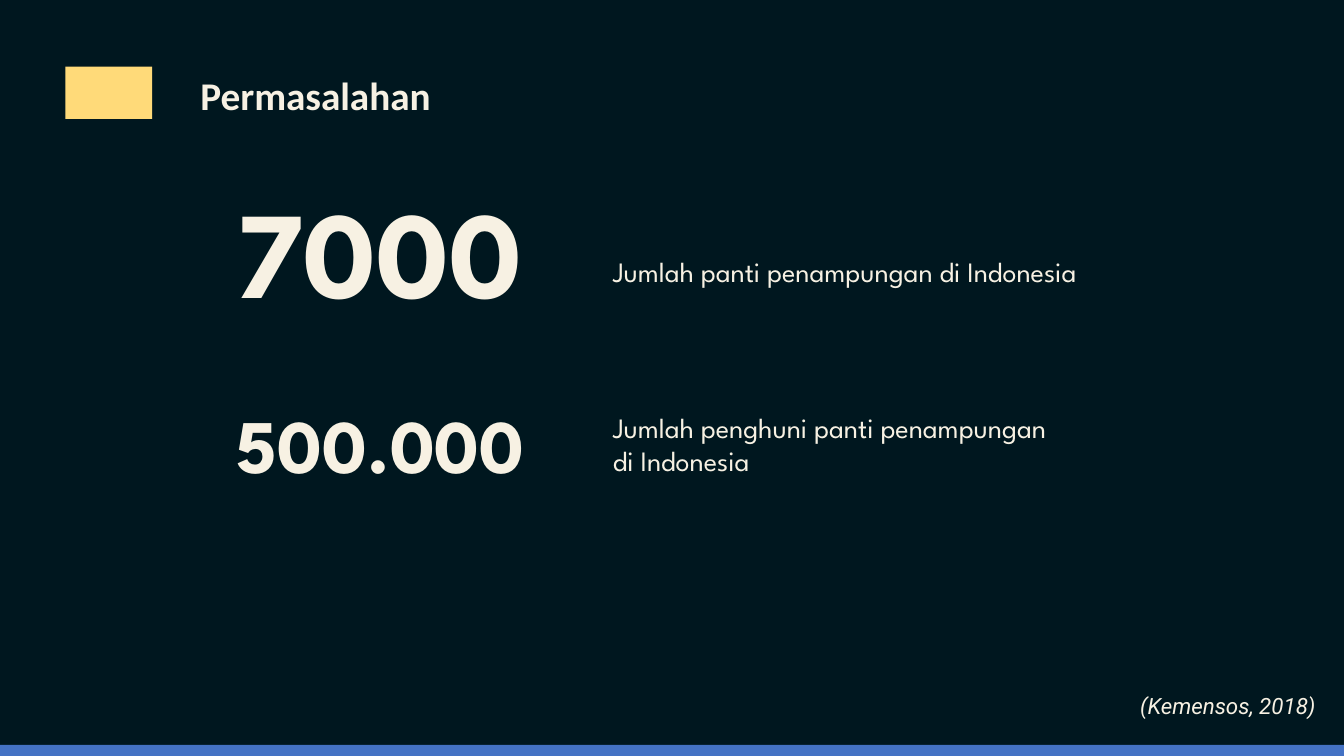
"""Build the "Permasalahan" slide with two key figures on shelters in Indonesia."""
from pptx import Presentation
from pptx.dml.color import RGBColor
from pptx.enum.shapes import MSO_SHAPE
from pptx.util import Inches, Pt

NAVY, BLUE, YELLOW, CREAM = "00171F", "4472C4", "FFDA79", "F7F1E3"
HEADING, BODY, CITATION = "Calibri", "League Spartan", "Roboto"
FIGURE_X, CAPTION_X = 2.25, 5.98

BARS = [
    ((-0.06, 7.39, 13.45, 0.12), BLUE),
    ((0.65, 0.66, 0.86, 0.52), YELLOW),
]
TEXTS = [
    (["Permasalahan"], (1.89, 0.66, 2.74, 0.57), HEADING, 28, "bold"),
    (["Jumlah panti penampungan di Indonesia"],
     (CAPTION_X, 2.48, 5.23, 0.44), BODY, 20, None),
    (["Jumlah penghuni panti penampungan", "di Indonesia"],
     (CAPTION_X, 4.02, 4.86, 0.77), BODY, 20, None),
    (["7000"], (FIGURE_X, 1.69, 3.16, 1.58), BODY, 88, "bold"),
    (["500.000"], (FIGURE_X, 3.9, 3.16, 1.01), BODY, 54, "bold"),
    (["(Kemensos, 2018)"], (11.21, 6.82, 1.99, 0.37), CITATION, 16, "italic"),
]


def paint(fill, color):
    fill.solid()
    fill.fore_color.rgb = RGBColor.from_string(color)


def add_bar(s, box, color):
    sp = s.shapes.add_shape(MSO_SHAPE.RECTANGLE, *map(Inches, box))
    sp.shadow.inherit = False
    sp.line.fill.background()
    paint(sp.fill, color)


def add_text(s, lines, box, font, size, style):
    tf = s.shapes.add_textbox(*map(Inches, box)).text_frame
    tf.word_wrap = True
    for i, line in enumerate(lines):
        p = tf.add_paragraph() if i else tf.paragraphs[0]
        r = p.add_run()
        r.text = line
        r.font.name = font
        r.font.size = Pt(size)
        r.font.bold = style == "bold"
        r.font.italic = style == "italic"
        paint(r.font.fill, CREAM)


def main():
    prs = Presentation()
    prs.slide_width, prs.slide_height = Inches(13.33), Inches(7.5)
    s = prs.slides.add_slide(prs.slide_layouts[6])
    paint(s.background.fill, NAVY)
    for bar in BARS:
        add_bar(s, *bar)
    for text in TEXTS:
        add_text(s, *text)
    prs.save("out.pptx")


if __name__ == "__main__":
    main()
